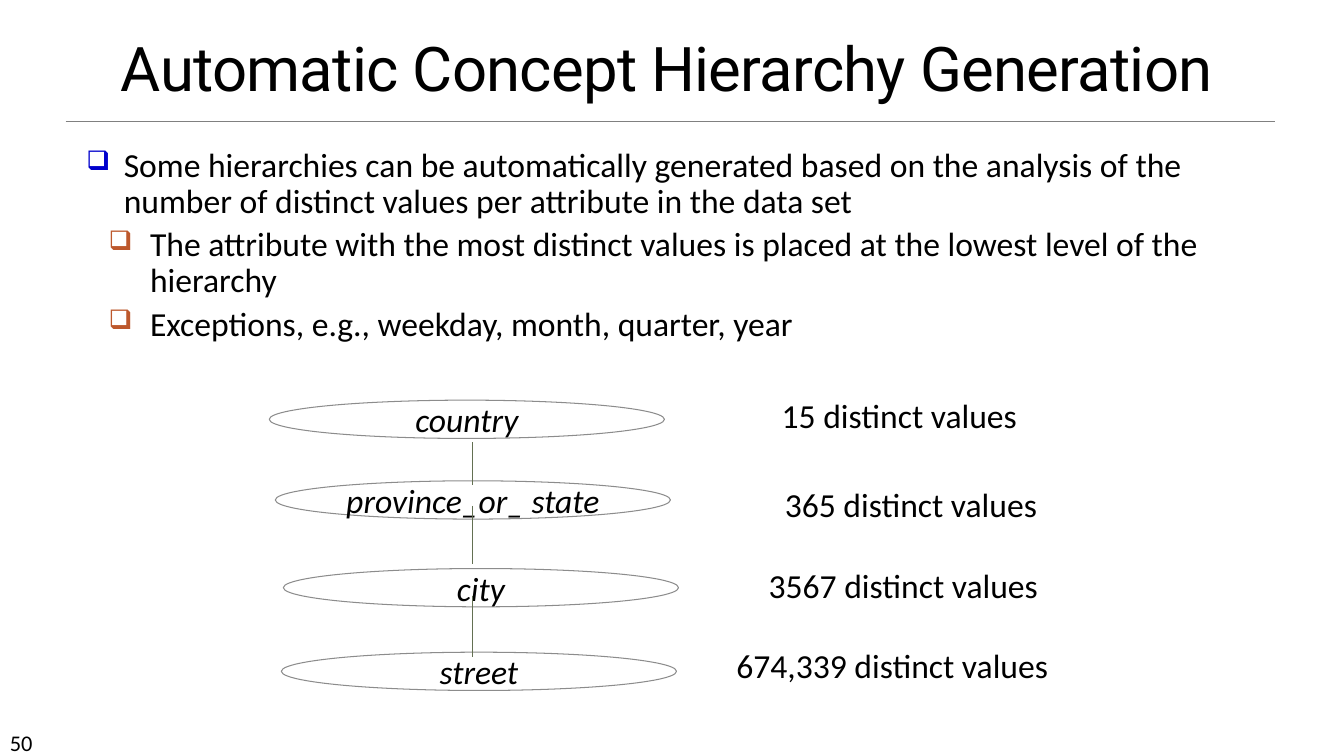
from lxml.etree import SubElement
from pptx import Presentation
from pptx.dml.color import RGBColor
from pptx.enum.shapes import MSO_CONNECTOR as Connector, MSO_SHAPE as Shape
from pptx.enum.text import MSO_ANCHOR as Anchor, PP_ALIGN as Align
from pptx.oxml.ns import qn
from pptx.util import Inches, Pt

BLACK = RGBColor(0x00, 0x00, 0x00)
RULE_GRAY = RGBColor(0x80, 0x80, 0x80)
OVAL_GRAY = RGBColor(0x8C, 0x8C, 0x8C)
LINK_GREEN = RGBColor(0x63, 0x70, 0x52)
BLUE = RGBColor(0x00, 0x00, 0xCC)
RUST = RGBColor(0xBD, 0x58, 0x2C)

LEVELS = [(0.37, -0.37, BLUE), (0.63, -0.41, RUST)]
POINTS = [
    (0, "Some hierarchies can be automatically generated based on the analysis "
        "of the number of distinct values per attribute in the data set"),
    (1, "The attribute with the most distinct values is placed at the lowest "
        "level of the hierarchy"),
    (1, "Exceptions, e.g., weekday, month, quarter, year"),
]
HIERARCHY = [
    ("country", 2.67, 3.97, "15 distinct values", 7.64, 3.87, 2.56),
    ("province_or_ state", 2.73, 4.77, "365 distinct values", 7.67, 4.75, 2.73),
    ("city", 2.81, 5.64, "3567 distinct values", 7.51, 5.56, 2.9),
    ("street", 2.79, 6.47, "674,339 distinct values", 7.19, 6.35, 3.32),
]
LINKS = [(4.39, 4.81), (5.02, 5.6), (5.91, 6.52)]


class HierarchySlide:
    body_font = "Calibri"
    title_font = "Roboto"

    def __init__(self, slide):
        self.shapes = slide.shapes

    def add_text(self, paragraph, text, align=Align.LEFT, **formats):
        paragraph.alignment = align
        run = paragraph.add_run()
        run.text = text
        style = {"name": self.body_font, "size": Pt(24)} | formats
        for attribute, value in style.items():
            setattr(run.font, attribute, value)
        run.font.color.rgb = BLACK
        return run

    def frame(self, left, top, width, height, wrap=True):
        box = self.shapes.add_textbox(*map(Inches, (left, top, width, height)))
        box.text_frame.word_wrap = wrap
        return box.text_frame

    def title(self, text):
        frame = self.frame(0.53, 0.33, 12.17, 0.75)
        frame.vertical_anchor = Anchor.BOTTOM
        heading = frame.paragraphs[0]
        heading.line_spacing = 0.85
        run = self.add_text(heading, text, Align.CENTER,
                            name=self.title_font, size=Pt(44))
        run.font._element.set("spc", "-50")

    def bullets(self, points):
        frame = self.frame(0.76, 1.42, 11.67, 2.5)
        for index, (level, text) in enumerate(points):
            point = frame.add_paragraph() if index else frame.paragraphs[0]
            point.level = level
            point.line_spacing = 0.9
            point.space_before = Pt(5 if index else 0)
            margin, indent, color = LEVELS[level]
            properties = point._p.get_or_add_pPr()
            properties.set("marL", str(Inches(margin)))
            properties.set("indent", str(Inches(indent)))
            bullet_color = SubElement(properties, qn("a:buClr"))
            SubElement(bullet_color, qn("a:srgbClr"), val=str(color))
            SubElement(properties, qn("a:buSzPct"), val="80000")
            SubElement(properties, qn("a:buChar"), char="❑")
            self.add_text(point, text)

    def label(self, text, left, top, width, height=0.5, **formats):
        frame = self.frame(left, top, width, height, wrap=False)
        self.add_text(frame.paragraphs[0], text, **formats)

    def oval(self, text, left, top):
        oval = self.shapes.add_shape(
            Shape.OVAL, *map(Inches, (left, top, 3.92, 0.38)))
        oval.shadow.inherit = False
        oval.fill.background()
        oval.line.color.rgb = OVAL_GRAY
        oval.line.width = Pt(0.75)
        oval.text_frame.word_wrap = False
        oval.text_frame.vertical_anchor = Anchor.MIDDLE
        self.add_text(oval.text_frame.paragraphs[0], text, Align.CENTER, italic=True)

    def line(self, start, end, color, weight):
        line = self.shapes.add_connector(
            Connector.STRAIGHT, *map(Inches, (*start, *end)))
        line.line.color.rgb = color
        line.line.width = Pt(weight)
        SubElement(line._element.spPr, qn("a:effectLst"))


def main():
    deck = Presentation()
    deck.slide_width, deck.slide_height = Inches(13.33), Inches(7.5)
    page = HierarchySlide(deck.slides.add_slide(deck.slide_layouts[6]))
    page.line((0.65, 1.2), (12.65, 1.2), RULE_GRAY, 0.5)
    page.label("50", 0, 7.18, 1.17, 0.3, size=Pt(16))
    page.title("Automatic Concept Hierarchy Generation")
    page.bullets(POINTS)
    for attribute, left, top, count, count_left, count_top, width in HIERARCHY:
        page.oval(attribute, left, top)
        page.label(count, count_left, count_top, width, align=Align.CENTER)
    for top, bottom in LINKS:
        page.line((4.69, top), (4.69, bottom), LINK_GREEN, 0.75)
    deck.save("out.pptx")


if __name__ == "__main__":
    main()
